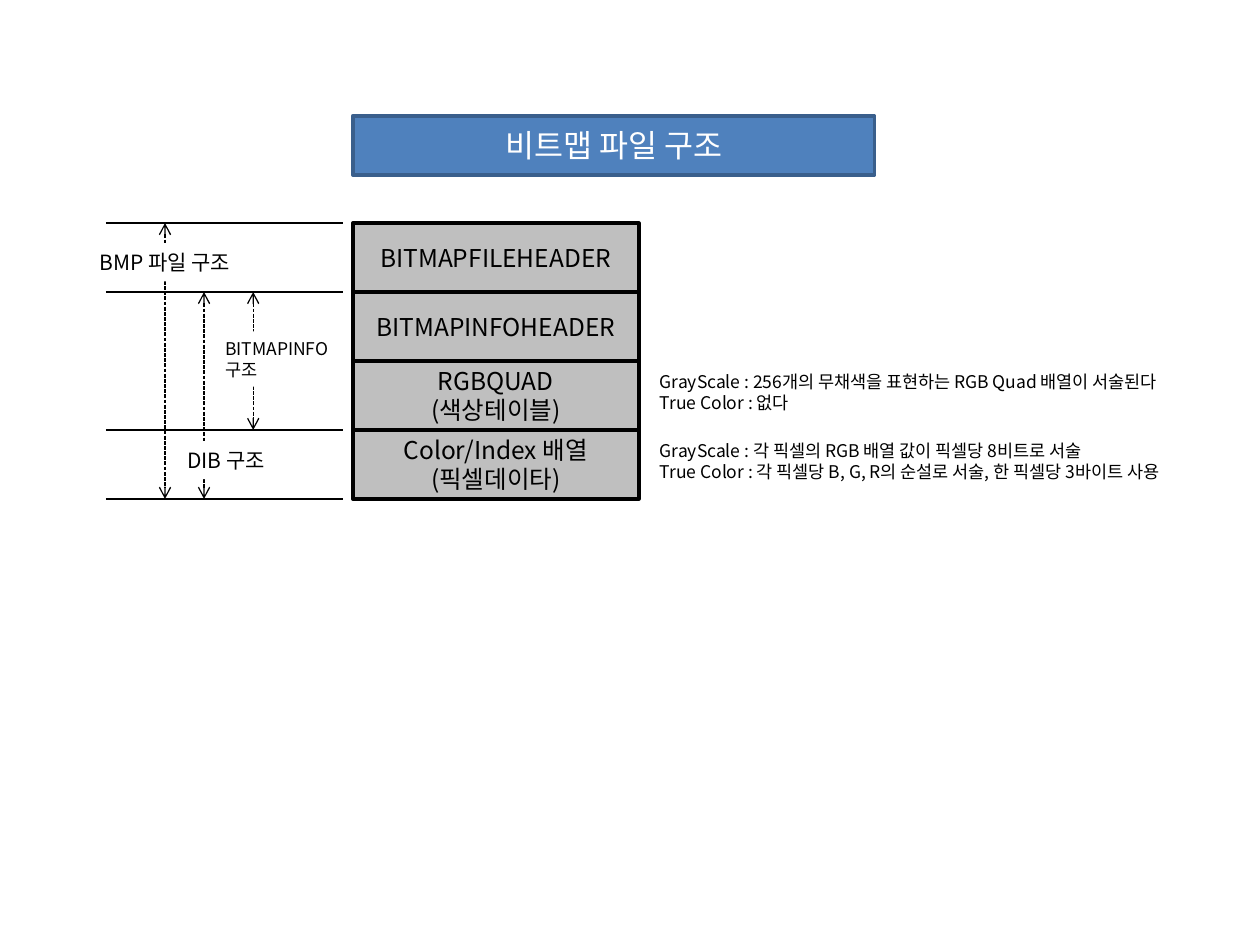
from lxml import etree
from pptx import Presentation
from pptx.dml.color import RGBColor
from pptx.enum.dml import MSO_LINE
from pptx.enum.shapes import MSO_CONNECTOR, MSO_SHAPE
from pptx.enum.text import MSO_ANCHOR, MSO_AUTO_SIZE, PP_ALIGN
from pptx.oxml.ns import qn
from pptx.util import Pt

RECTANGLE = MSO_SHAPE.RECTANGLE
STRAIGHT = MSO_CONNECTOR.STRAIGHT
DASHED = MSO_LINE.SQUARE_DOT
MIDDLE = MSO_ANCHOR.MIDDLE
LEFT, CENTER = PP_ALIGN.LEFT, PP_ALIGN.CENTER
NO_FIT, GROW = MSO_AUTO_SIZE.NONE, MSO_AUTO_SIZE.SHAPE_TO_FIT_TEXT
FONT = "Noto Sans CJK KR"
BLACK, WHITE, GRAY = "000000", "FFFFFF", "BFBFBF"
BLUE, DARK_BLUE = "4F81BD", "3A5F8C"

BLOCK_LEFT, BLOCK_TOP, BLOCK_WIDTH, BLOCK_HEIGHT = 201.6, 127.5, 163.5, 39.4
GUIDE_LEFT, GUIDE_RIGHT = 60.5, 195.8

BLOCKS = [
    ["BITMAPFILEHEADER"],
    ["BITMAPINFOHEADER"],
    ["RGBQUAD", "(색상테이블)"],
    ["Color/Index 배열", "(픽셀데이타)"],
]
# Each span: arrow x, first and last boundary, label box, label size, label lines
SPANS = [
    (94.3, 0, 4, (49.7, 139, 96.5, 21.8), 12, ["BMP 파일 구조"]),
    (116.6, 1, 4, (100, 252, 62, 21.8), 12, ["DIB 구조"]),
    (144.7, 1, 3, (121.7, 189.4, 73.4, 31.5), 10, ["BITMAPINFO", "구조"]),
]
NOTES = [
    (2, ["GrayScale : 256개의 무채색을 표현하는 RGB Quad 배열이 서술된다",
         "True Color : 없다"]),
    (3, ["GrayScale : 각 픽셀의 RGB 배열 값이 픽셀당 8비트로 서술",
         "True Color : 각 픽셀당 B, G, R의 순설로 서술, 한 픽셀당 3바이트 사용"]),
]


def color(hex_value):
    """Turn a hex string into a colour."""
    return RGBColor.from_string(hex_value)


def boundary(index):
    """Give the height of a boundary between file blocks."""
    return BLOCK_TOP + index * BLOCK_HEIGHT


def apply(target, values):
    """Set attributes from a dict of format values."""
    for name, value in values.items():
        setattr(target, name, value)


def place(shape, box):
    """Move and size a shape in points."""
    apply(shape, dict(zip(("left", "top", "width", "height"), map(Pt, box))))


def paint(shape, fill, line=None):
    """Fill a shape and give it a two-point outline or none."""
    shape.fill.solid()
    shape.fill.fore_color.rgb = color(fill)
    if line:
        shape.line.color.rgb = color(line)
        shape.line.width = Pt(2)
    else:
        shape.line.fill.background()


def write(shape, lines, size, text_color=BLACK, align=LEFT, **frame_format):
    """Write one paragraph per line in a single text format."""
    frame = shape.text_frame
    apply(frame, frame_format)
    frame.text = "\n".join(lines)
    for paragraph in frame.paragraphs:
        paragraph.alignment = align
        for run in paragraph.runs:
            apply(run.font, {"name": FONT, "size": Pt(size)})
            run.font.color.rgb = color(text_color)
            east_asian = etree.SubElement(run.font._element, qn("a:ea"))
            east_asian.set("typeface", FONT)


def add_title(slide, text):
    """Format the title placeholder as a rounded banner."""
    title = slide.shapes.title
    place(title, (201.6, 66.2, 298.1, 33.8))
    geometry = etree.SubElement(title._element.spPr, qn("a:prstGeom"))
    geometry.set("prst", "roundRect")
    etree.SubElement(geometry, qn("a:avLst"))
    paint(title, BLUE, DARK_BLUE)
    write(title, [text], 18, WHITE, CENTER, vertical_anchor=MIDDLE,
          word_wrap=True, auto_size=NO_FIT)


def add_box(slide, box, fill, line=None):
    """Add a plain rectangle."""
    shape = slide.shapes.add_shape(RECTANGLE, *map(Pt, box))
    shape.shadow.inherit = False
    paint(shape, fill, line)
    return shape


def add_line(slide, start, end, arrows=False):
    """Add a thin line, or a dashed arrow with two heads."""
    connector = slide.shapes.add_connector(STRAIGHT, *map(Pt, start + end))
    connector.line.color.rgb = color(BLACK)
    connector.line.width = Pt(0.75)
    properties = connector._element.spPr
    if arrows:
        connector.line.dash_style = DASHED
        outline = properties.find(qn("a:ln"))
        for end_name in ("a:headEnd", "a:tailEnd"):
            etree.SubElement(outline, qn(end_name)).set("type", "arrow")
    etree.SubElement(properties, qn("a:effectLst"))


def add_span(slide, x, first, last, box, size, lines):
    """Add an arrow between two boundaries with its label on top."""
    add_line(slide, (x, boundary(first)), (x, boundary(last)), arrows=True)
    label = add_box(slide, box, WHITE)
    write(label, lines, size, vertical_anchor=MSO_ANCHOR.TOP,
          word_wrap=False, auto_size=GROW)


def add_note(slide, row, lines):
    """Add the explanation beside a file block."""
    box = (370, boundary(row) + 2.3, 332, 31.5)
    note = slide.shapes.add_textbox(*map(Pt, box))
    write(note, lines, 10, word_wrap=True, auto_size=GROW)


def main():
    """Build the bitmap file structure slide."""
    presentation = Presentation()
    apply(presentation, {"slide_width": Pt(720), "slide_height": Pt(540)})
    slide = presentation.slides.add_slide(presentation.slide_layouts[5])
    add_title(slide, "비트맵 파일 구조")
    for row, lines in enumerate(BLOCKS):
        box = (BLOCK_LEFT, boundary(row), BLOCK_WIDTH, BLOCK_HEIGHT)
        block = add_box(slide, box, GRAY, BLACK)
        write(block, lines, 14, align=CENTER, vertical_anchor=MIDDLE)
    for index in (0, 1, 3, 4):
        y = boundary(index)
        add_line(slide, (GUIDE_LEFT, y), (GUIDE_RIGHT, y))
    for span in SPANS:
        add_span(slide, *span)
    for row, lines in NOTES:
        add_note(slide, row, lines)
    presentation.save("out.pptx")


main()
